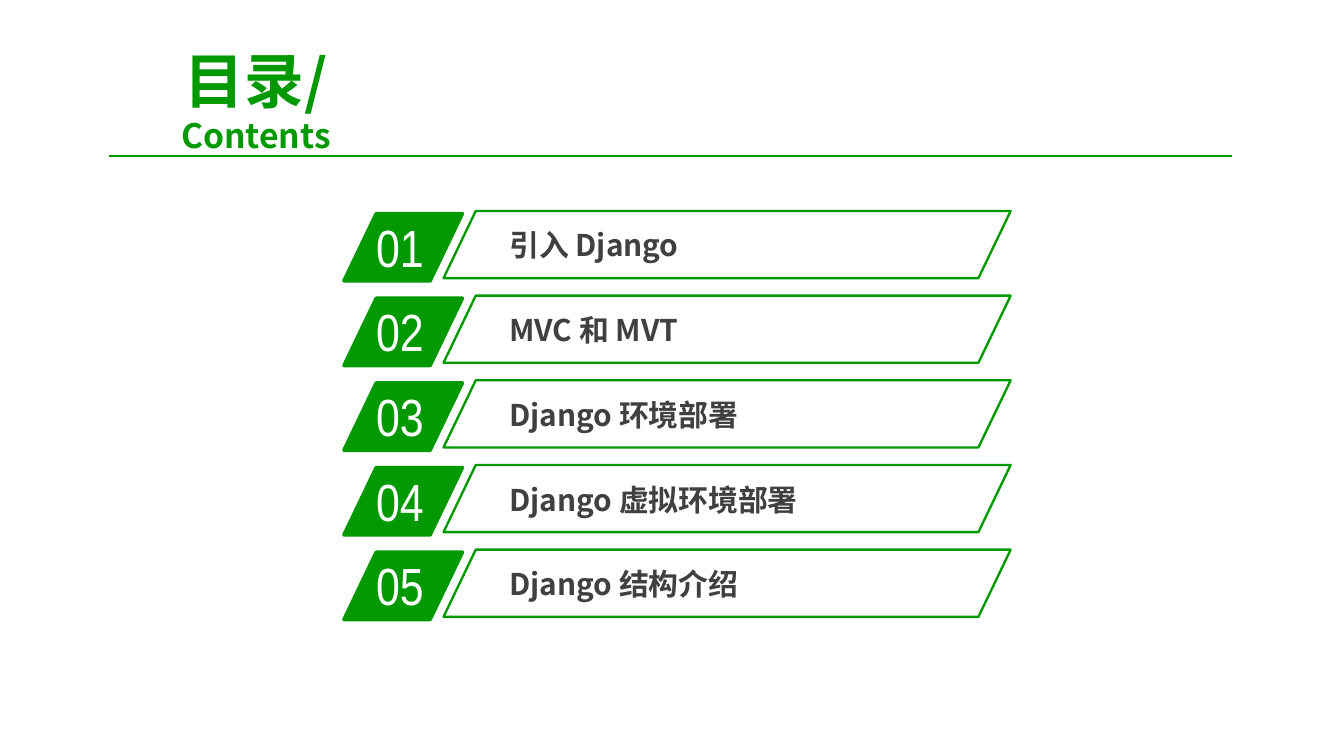
from lxml.etree import SubElement
from pptx import Presentation
from pptx.dml.color import RGBColor
from pptx.enum.shapes import MSO_CONNECTOR, MSO_SHAPE
from pptx.enum.text import MSO_ANCHOR, PP_ALIGN
from pptx.oxml.ns import qn
from pptx.util import Inches, Pt

GREEN = RGBColor(0x00, 0x99, 0x00)
DARK_GREY = RGBColor(0x40, 0x40, 0x40)
WHITE = RGBColor(0xFF, 0xFF, 0xFF)
CJK_FONT = "Noto Sans CJK SC"
NUMBER_FONT = "Arial Narrow"

CHAPTERS = [
    "引入 Django",
    "MVC 和 MVT",
    "Django 环境部署",
    "Django 虚拟环境部署",
    "Django 结构介绍",
]
FIRST_TOP = 1.57
ROW_STEP = 0.63


def style_font(font, name, size, color, bold=False):
    font.name = name
    font.size = Pt(size)
    font.bold = bold
    font.color.rgb = color


def set_run_fonts(paragraph, name):
    """Set the Latin and the East Asian font of every run."""
    for run in paragraph.runs:
        run.font.name = name
        SubElement(run.font._element, qn("a:ea"), typeface=name)


def add_text(slide, left, top, width, height, text, font_name, size, color, bold=False):
    box = slide.shapes.add_textbox(Inches(left), Inches(top), Inches(width), Inches(height))
    frame = box.text_frame
    frame.word_wrap = True
    paragraph = frame.paragraphs[0]
    paragraph.text = text
    style_font(paragraph.font, font_name, size, color, bold)
    set_run_fonts(paragraph, font_name)
    return frame


def add_parallelogram(slide, left, top, width, line_width, fill=None):
    shape = slide.shapes.add_shape(
        MSO_SHAPE.PARALLELOGRAM, Inches(left), Inches(top), Inches(width), Inches(0.5)
    )
    shape.adjustments[0] = 0.48
    shape.shadow.inherit = False
    if fill is None:
        shape.fill.background()
    else:
        shape.fill.solid()
        shape.fill.fore_color.rgb = fill
    shape.line.color.rgb = GREEN
    shape.line.width = Pt(line_width)


def add_heading(slide):
    frame = add_text(slide, 0.67, 0.47, 2.47, 0.54, "目录/\vContents", CJK_FONT, 32, GREEN, True)
    frame.vertical_anchor = MSO_ANCHOR.MIDDLE
    heading = frame.paragraphs[0]
    heading.alignment = PP_ALIGN.CENTER
    heading.space_before = Pt(5)
    heading.runs[1].font.size = Pt(18)


def add_divider(slide):
    divider = slide.shapes.add_connector(
        MSO_CONNECTOR.STRAIGHT, Inches(0.81), Inches(1.16), Inches(9.17), Inches(1.16)
    )
    divider.line.color.rgb = GREEN
    divider.line.width = Pt(0.75)
    SubElement(divider._element.spPr, qn("a:effectLst"))


def add_chapter(slide, number, title, top):
    add_parallelogram(slide, 2.56, top + 0.02, 0.88, 2, GREEN)
    add_text(slide, 2.7, top - 0.02, 0.84, 0.57, f"{number:02d}", NUMBER_FONT, 28, WHITE)
    frame = add_text(slide, 3.72, top + 0.08, 3.37, 0.35, title, CJK_FONT, 16, DARK_GREY, True)
    frame.margin_left = frame.margin_right = Inches(0.07)
    frame.margin_top = frame.margin_bottom = Inches(0.04)
    add_parallelogram(slide, 3.3, top, 4.22, 1.25)


def main():
    prs = Presentation()
    prs.slide_width = Inches(10)
    prs.slide_height = Inches(10) * 9 // 16
    slide = prs.slides.add_slide(prs.slide_layouts[6])
    add_heading(slide)
    add_divider(slide)
    for index, title in enumerate(CHAPTERS):
        add_chapter(slide, index + 1, title, FIRST_TOP + index * ROW_STEP)
    prs.save("out.pptx")


if __name__ == "__main__":
    main()
